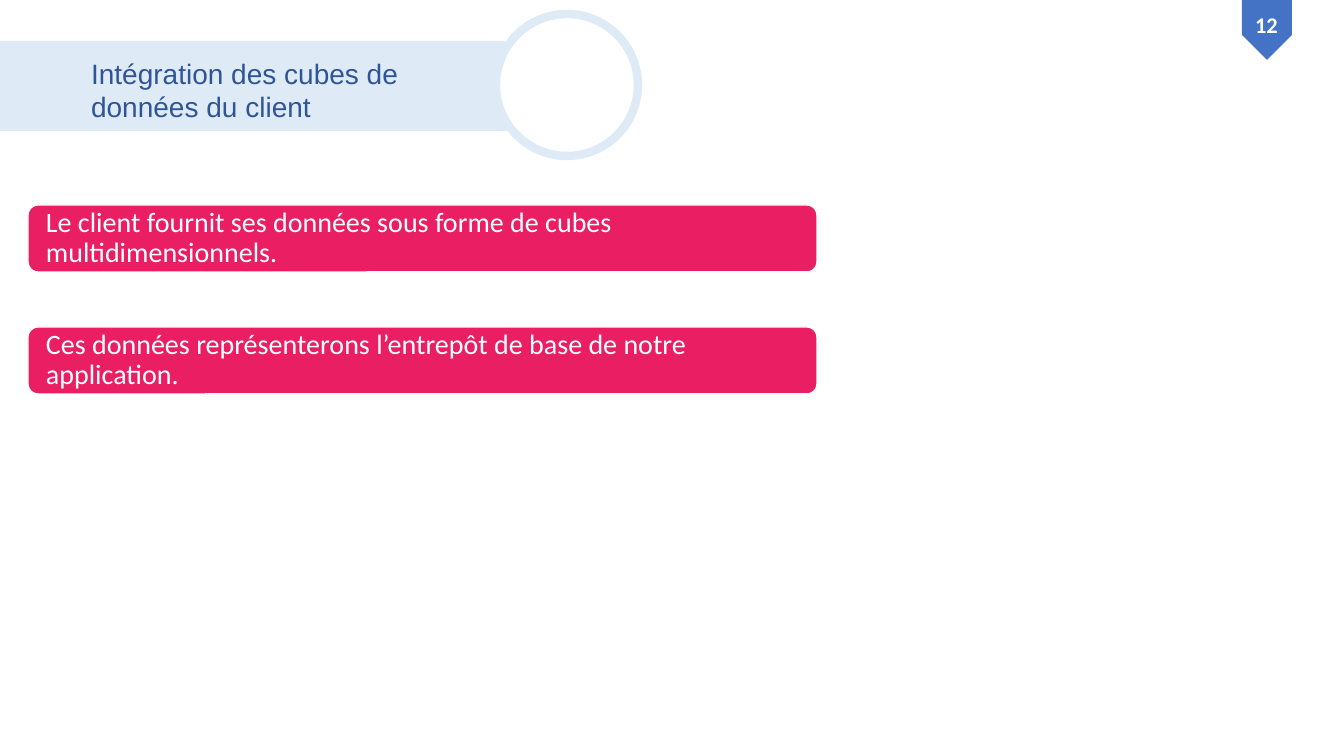
from pptx import Presentation
from pptx.dml.color import RGBColor
from pptx.enum.shapes import MSO_SHAPE
from pptx.enum.text import MSO_ANCHOR, MSO_AUTO_SIZE, PP_ALIGN
from pptx.util import Pt

TITLE = "Intégration des cubes de données du client"
STATEMENTS = [
    "Le client fournit ses données sous forme de cubes multidimensionnels.",
    "Ces données représenterons l’entrepôt de base de notre application.",
]
PAGE_NUMBER = "12"

COLORS = {
    "white": "FFFFFF",
    "banner": "DEEBF7",
    "title": "2F5597",
    "card": "E91E63",
    "marker": "4472C4",
}

EMU_PER_PX = 914400 / 100.8
CARD_LEFT, CARD_TOP, CARD_WIDTH, CARD_HEIGHT = 28, 205, 789, 67
CARD_STEP = 122


def px(length):
    return round(length * EMU_PER_PX)


def color(name):
    return RGBColor.from_string(COLORS[name])


def add_filled(kind, box, fill, line=None, line_width=0):
    shape = slide.shapes.add_shape(kind, *map(px, box))
    shape.shadow.inherit = False
    shape.fill.solid()
    shape.fill.fore_color.rgb = color(fill)
    if line:
        shape.line.color.rgb = color(line)
        shape.line.width = Pt(line_width)
    else:
        shape.line.fill.background()
    return shape


def write(shape, text, size, font_name, text_color, align, anchor, bold=False):
    frame = shape.text_frame
    frame.text = text
    frame.word_wrap = True
    frame.auto_size = MSO_AUTO_SIZE.NONE
    frame.vertical_anchor = anchor
    paragraph = frame.paragraphs[0]
    paragraph.alignment = align
    font = paragraph.runs[0].font
    font.size, font.name, font.bold = Pt(size), font_name, bold
    font.color.rgb = color(text_color)
    return frame


prs = Presentation()
prs.slide_width, prs.slide_height = px(1344), px(756)
slide = prs.slides.add_slide(prs.slide_layouts[5])

# Page marker
marker = add_filled(MSO_SHAPE.PENTAGON, (1237, 5, 60, 50), "marker")
marker.rotation = 90
page_number = slide.shapes.add_textbox(*map(px, (1236, 6, 61, 37)))
write(page_number, PAGE_NUMBER, 16, "Calibri", "white",
      PP_ALIGN.CENTER, MSO_ANCHOR.TOP, bold=True)

# Statement cards
for row, statement in enumerate(STATEMENTS):
    box = (CARD_LEFT, CARD_TOP + row * CARD_STEP, CARD_WIDTH, CARD_HEIGHT)
    card = add_filled(MSO_SHAPE.ROUNDED_RECTANGLE, box, "card", "white", 1)
    card.adjustments[0] = 0.15
    frame = write(card, statement, 20, "Calibri", "white",
                  PP_ALIGN.LEFT, MSO_ANCHOR.MIDDLE)
    frame.margin_left = frame.margin_right = px(15)
    frame.margin_top = frame.margin_bottom = px(10)
    frame.paragraphs[0].line_spacing = 0.9

# Title banner
add_filled(MSO_SHAPE.RECTANGLE, (-1, 41, 581, 90), "banner")
medallion = add_filled(MSO_SHAPE.OVAL, (496, 14, 142, 142), "white", "banner", 6)

title = slide.shapes.title
title.left, title.top, title.width, title.height = map(px, (81, 51, 380, 78))
title.fill.solid()
title.fill.fore_color.rgb = color("banner")
write(title, TITLE, 20, "Arial", "title", PP_ALIGN.LEFT, MSO_ANCHOR.TOP)
medallion.element.addnext(title.element)  # bring the title in front of the banner

prs.save("out.pptx")
